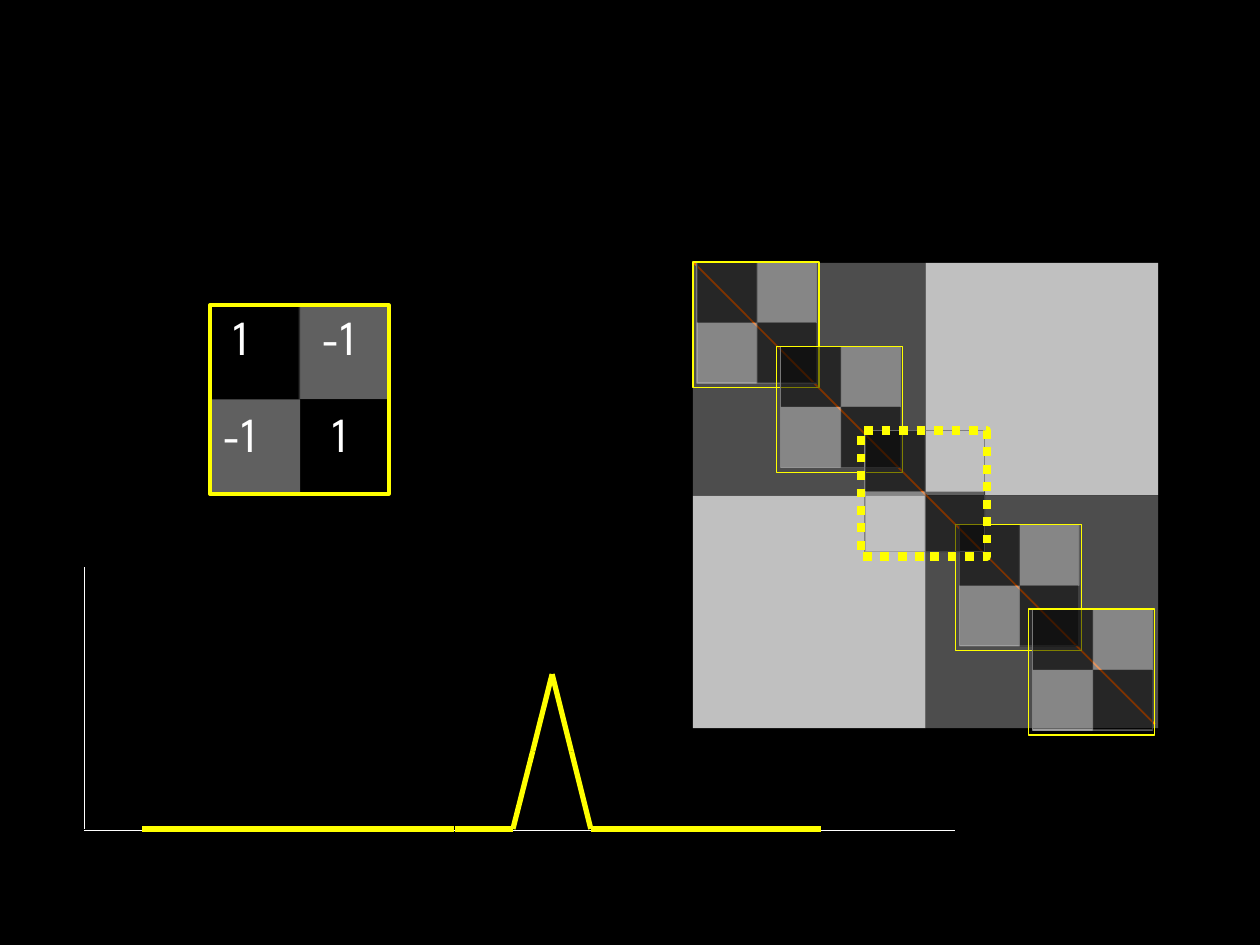
from pptx import Presentation
from pptx.dml.color import RGBColor
from pptx.enum.dml import MSO_LINE
from pptx.enum.shapes import MSO_CONNECTOR, MSO_SHAPE
from pptx.oxml.ns import qn
from pptx.util import Cm, Pt
from lxml import etree

RECT = MSO_SHAPE.RECTANGLE
STRAIGHT = MSO_CONNECTOR.STRAIGHT
DOTTED = MSO_LINE.ROUND_DOT

BLACK = RGBColor(0x00, 0x00, 0x00)
WHITE = RGBColor(0xFF, 0xFF, 0xFF)
SILVER = RGBColor(0xC0, 0xC0, 0xC0)
GRAY = RGBColor(0x80, 0x80, 0x80)
DARK = RGBColor(0x4D, 0x4D, 0x4D)
YELLOW = RGBColor(0xFF, 0xFF, 0x00)
ORANGE = RGBColor(0xFF, 0x66, 0x00)

FONT = "League Spartan"
NO_TABLE_STYLE = "{2D5ABB26-0587-4C30-8999-92F81FD0307C}"
BASELINE = 16.71


def add_rect(shapes, x, y, w, h, fill=None, alpha=None, line=None, width=0.75, dash=None):
    """Add a rectangle; alpha is the opacity of its fill in percent."""
    s = shapes.add_shape(RECT, Cm(x), Cm(y), Cm(w), Cm(h))
    s.shadow.inherit = False
    if fill is None:
        s.fill.background()
    else:
        s.fill.solid()
        s.fill.fore_color.rgb = fill
    if alpha is not None:
        color = s.fill._xPr.find(qn("a:solidFill"))[0]
        etree.SubElement(color, qn("a:alpha"), val=str(alpha * 1000))
    if line is None:
        s.line.fill.background()
    else:
        s.line.color.rgb = line
        s.line.width = Pt(width)
        if dash is not None:
            s.line.dash_style = dash


def add_line(shapes, start, end, color, width):
    c = shapes.add_connector(STRAIGHT, *(Cm(v) for v in (*start, *end)))
    c.line.color.rgb = color
    c.line.width = Pt(width)
    etree.SubElement(c._element.spPr, qn("a:effectLst"))


def add_kernel(shapes, x, y, cell, step, outline):
    """Add a two by two checkerboard of half transparent cells."""
    (cw, ch), (dx, dy) = cell, step
    add_rect(shapes, x + dx, y, cw, ch, SILVER, 50)
    add_rect(shapes, x, y, *outline, line=GRAY)
    add_rect(shapes, x, y, cw, ch, BLACK, 50)
    add_rect(shapes, x + dx, y + dy, cw, ch, BLACK, 50)
    add_rect(shapes, x, y + dy, cw, ch, SILVER, 50)


def add_small_kernel(shapes, x, y, width=0.75, dash=None):
    group = shapes.add_group_shape().shapes
    add_kernel(group, x + 0.08, y, (1.22, 1.22), (1.2, 1.23), (2.41, 2.44))
    add_rect(group, x, y, 2.54, 2.54, line=YELLOW, width=width, dash=dash)


def set_text(tf, text, size=28, color=WHITE, font=FONT):
    p = tf.paragraphs[0]
    r = p.add_run()
    r.text = text
    r.font.size = Pt(size)
    r.font.name = font
    r.font.color.rgb = color


def add_weights(shapes):
    """Add the kernel weights, each with its own left margin."""
    table = shapes.add_table(2, 2, Cm(4.23), Cm(6.35), Cm(3.54), Cm(4)).table
    table._tbl.tblPr.find(qn("a:tableStyleId")).text = NO_TABLE_STYLE
    table.first_row = table.horz_banding = False
    for col in table.columns:
        col.width = Cm(1.77)
    for row, height in zip(table.rows, (1.95, 2.05)):
        row.height = Cm(height)
    weights = [("1", 0.48), ("-1", 0.48), ("-1", 0.25), ("1", 0.71)]
    for cell, (text, margin) in zip(table.iter_cells(), weights):
        cell.fill.background()
        cell.margin_left = Cm(margin)
        cell.margin_right = Cm(0.25)
        cell.margin_top = cell.margin_bottom = Cm(0.13)
        set_text(cell.text_frame, text)


def add_similarity_matrix(shapes):
    x, y, side = 13.97, 5.3, 4.69
    group = shapes.add_group_shape().shapes
    for row in range(2):
        for col in range(2):
            add_rect(group, x + col * side, y + row * side, side, side,
                     DARK if row == col else SILVER)


def add_novelty_curve(shapes):
    add_line(shapes, (1.7, 11.43), (1.7, BASELINE), WHITE, 0.75)
    add_line(shapes, (1.7, 16.74), (19.26, 16.74), WHITE, 0.75)
    for x in (2.87, 4.06, 4.85, 6.02, 7.19, 7.98, 9.17):
        add_line(shapes, (x, BASELINE), (x + 1.18, BASELINE), YELLOW, 3)
    peak = [(10.34, BASELINE), (10.74, 15.14), (11.13, 13.59),
            (11.52, 15.15), (11.91, BASELINE), (16.56, BASELINE)]
    for start, end in zip(peak, peak[1:]):
        add_line(shapes, start, end, YELLOW, 3)


def main():
    prs = Presentation()
    prs.slide_width, prs.slide_height = Cm(25.4), Cm(19.05)
    slide = prs.slides.add_slide(prs.slide_layouts[6])
    slide.background.fill.solid()
    slide.background.fill.fore_color.rgb = BLACK
    shapes = slide.shapes

    add_kernel(shapes.add_group_shape().shapes, 4.23, 6.15,
               (1.82, 1.9), (1.79, 1.9), (3.61, 3.78))
    add_weights(shapes)
    add_similarity_matrix(shapes)
    add_novelty_curve(shapes)
    add_line(shapes, (13.97, 5.28), (23.28, 14.6), ORANGE, 1)
    for x, y in [(13.97, 5.28), (15.66, 6.98), (19.26, 10.58), (20.74, 12.28)]:
        add_small_kernel(shapes, x, y)
    add_rect(shapes, 4.23, 6.15, 3.61, 3.81, line=YELLOW, width=2)
    add_small_kernel(shapes, 17.36, 8.68, width=5, dash=DOTTED)

    prs.save("out.pptx")


if __name__ == "__main__":
    main()
